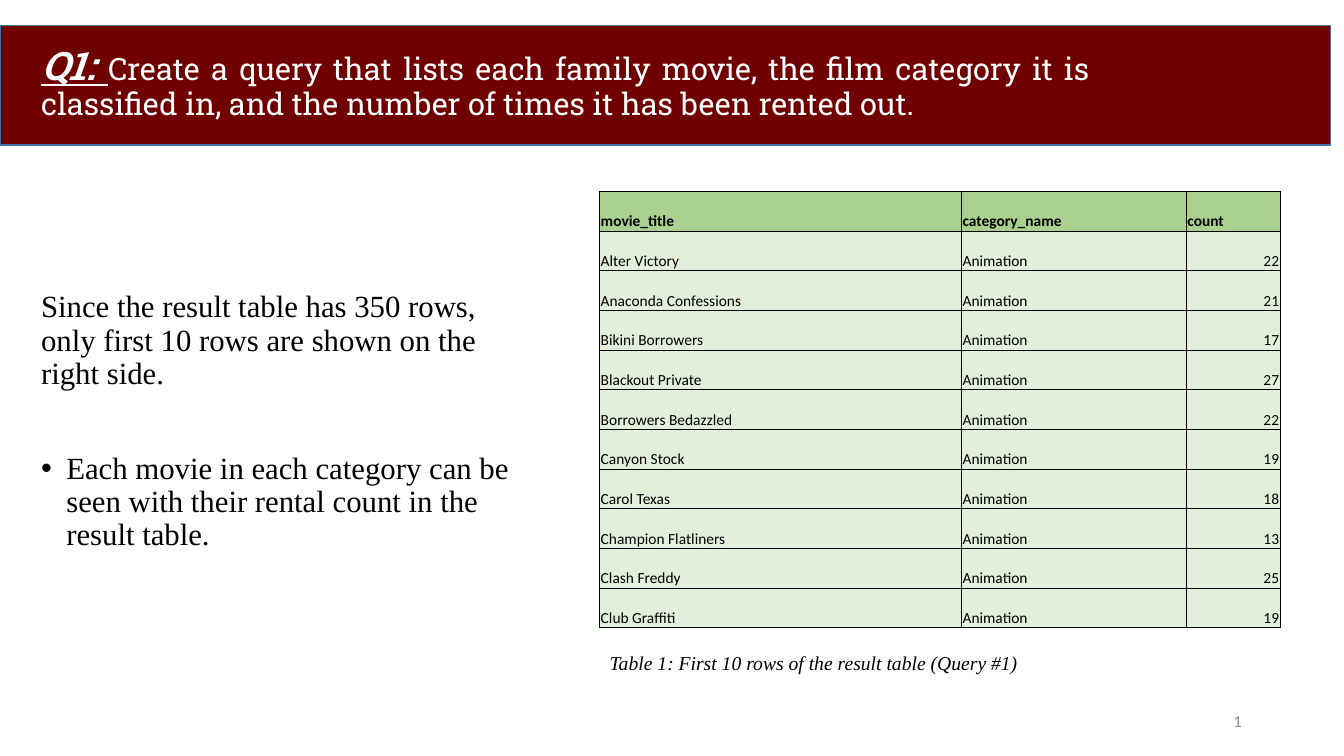
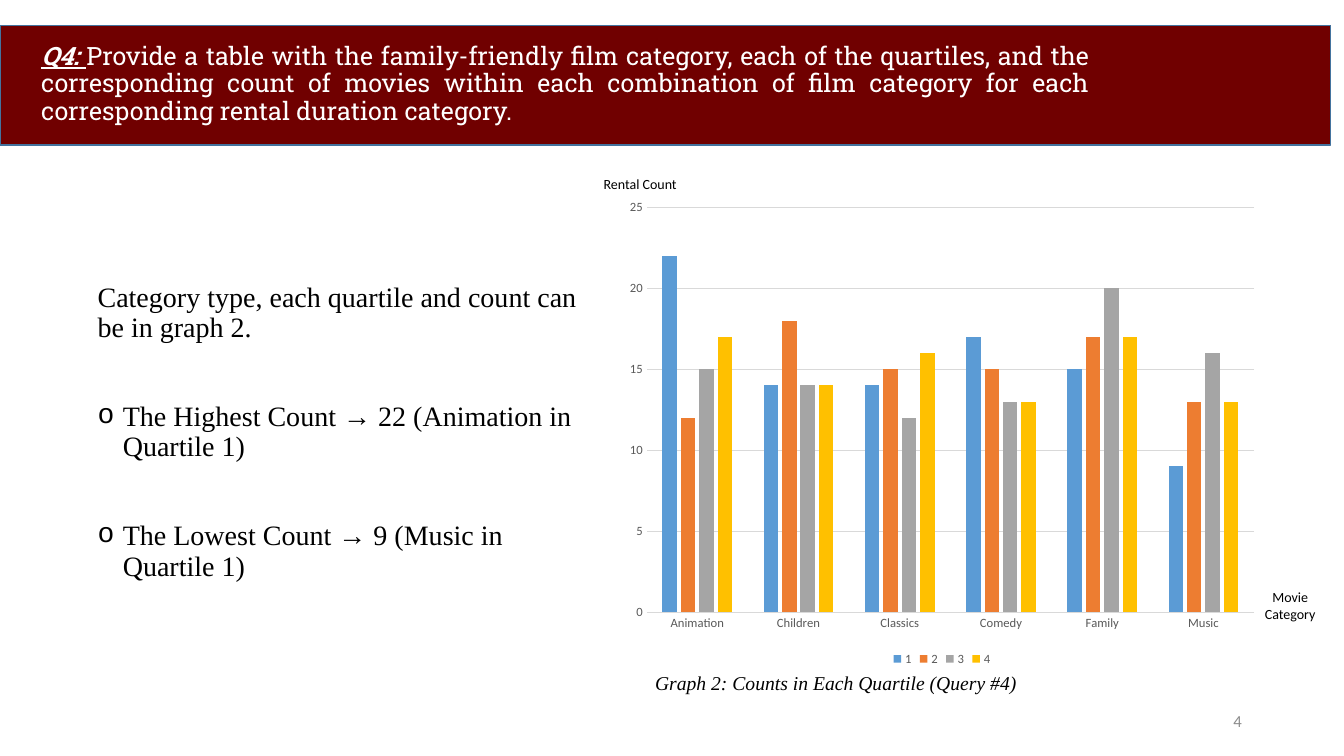
from lxml import etree
from pptx import Presentation
from pptx.chart.data import CategoryChartData
from pptx.dml.color import RGBColor
from pptx.enum.chart import XL_CHART_TYPE, XL_LEGEND_POSITION, XL_TICK_MARK
from pptx.enum.shapes import MSO_SHAPE
from pptx.enum.text import MSO_ANCHOR, PP_ALIGN
from pptx.oxml.ns import qn
from pptx.util import Inches, Pt

CLUSTERED = XL_CHART_TYPE.COLUMN_CLUSTERED
LEGEND_BOTTOM = XL_LEGEND_POSITION.BOTTOM
NO_TICK = XL_TICK_MARK.NONE
RECTANGLE = MSO_SHAPE.RECTANGLE
TOP, MIDDLE, BOTTOM = MSO_ANCHOR.TOP, MSO_ANCHOR.MIDDLE, MSO_ANCHOR.BOTTOM
LEFT, CENTER, RIGHT, JUSTIFY = (PP_ALIGN.LEFT, PP_ALIGN.CENTER,
                                PP_ALIGN.RIGHT, PP_ALIGN.JUSTIFY)

COLORS = {
    "band": "700000", "band_line": "43739E", "white": "FFFFFF",
    "black": "000000", "number": "8C8C8C", "header": "A9D08E",
    "row": "E2EFDA", "axis_text": "595959", "grid": "D9D9D9",
}
SERIES_COLORS = ["5B9BD5", "ED7D31", "A5A5A5", "FFC000"]
TITLE_FONT, BODY_FONT, LABEL_FONT = "Roboto Slab", "Times New Roman", "Calibri"

# Places are (column, row, columns, rows) on a grid of 160 by 90 cells.
SLIDE_WIDTH, SLIDE_HEIGHT = Inches(13.33), Inches(7.5)
GRID_COLUMNS, GRID_ROWS = 160, 90
BAND = (0, 3, 158.4, 14.28)
TITLE = (3.72, 4.32, 127.2, 11.52)
NUMBER = (113.04, 83.4, 36, 4.8)

QUERY_1 = {
    "number": "1",
    "title": [("Q1: ", 28),
              ("Create a query that lists each family movie, the film category "
               "it is classified in, and the number of times it has been "
               "rented out.", 22)],
    "body_place": (3.72, 34.08, 61.32, 33),
    "body_size": 22,
    "bullet": ("•", "Arial"),
    "body": ["Since the result table has 350 rows, only first 10 rows are "
             "shown on the right side.",
             "Each movie in each category can be seen with their rental count "
             "in the result table."],
    "caption_place": (71.4, 76.92, 68.52, 4.08),
    "caption": "Table 1: First 10 rows of the result table (Query #1)",
}
QUERY_4 = {
    "number": "4",
    "title": [("Q4: ", 18),
              ("Provide a table with the family-friendly film category, each "
               "of the quartiles, and the corresponding count of movies within "
               "each combination of film category for each corresponding "
               "rental duration category.", 18)],
    "body_place": (10.44, 33.12, 61.32, 50.28),
    "body_size": 20,
    "bullet": ("o", "Courier New"),
    "body": ["Category type, each quartile and count can be in graph 2.",
             "The Highest Count → 22 (Animation in Quartile 1)",
             "The Lowest Count → 9 (Music in Quartile 1)"],
    "caption_place": (76.8, 79.32, 52.68, 4.08),
    "caption": "Graph 2: Counts in Each Quartile (Query #4)",
}

TABLE_PLACE = (71.4, 22.8, 81, 51.96)
TABLE_COLUMNS = [43.08, 26.76, 11.16]
TABLE_HEADER = ("movie_title", "category_name", "count")
RENTAL_CATEGORY = "Animation"
RENTALS = [
    ("Alter Victory", 22), ("Anaconda Confessions", 21),
    ("Bikini Borrowers", 17), ("Blackout Private", 27),
    ("Borrowers Bedazzled", 22), ("Canyon Stock", 19), ("Carol Texas", 18),
    ("Champion Flatliners", 13), ("Clash Freddy", 25), ("Club Graffiti", 19),
]

CHART_PLACE = (73.44, 22.68, 77.4, 57.12)
CATEGORIES = ["Animation", "Children", "Classics", "Comedy", "Family", "Music"]
QUARTILES = {
    "1": (22, 14, 14, 17, 15, 9),
    "2": (12, 18, 15, 15, 17, 13),
    "3": (15, 14, 12, 13, 20, 16),
    "4": (17, 14, 16, 13, 17, 13),
}
AXIS_LABELS = [
    ("Rental Count", (70.68, 20.28, 12.12, 3.24), LEFT),
    ("Movie Category", (149.04, 69.48, 9.12, 5.28), CENTER),
]


def across(columns):
    """Return the width of a number of grid columns."""
    return round(SLIDE_WIDTH * columns / GRID_COLUMNS)


def down(rows):
    """Return the height of a number of grid rows."""
    return round(SLIDE_HEIGHT * rows / GRID_ROWS)


def on_grid(place):
    """Turn a grid place into left, top, width and height."""
    column, row, columns, rows = place
    return across(column), down(row), across(columns), down(rows)


def color(name):
    """Look up a named colour."""
    return RGBColor.from_string(COLORS[name])


def style_font(font, name, size, color_name, bold=False, italic=False):
    """Set the face, size and colour of a font."""
    font.name, font.size = name, Pt(size)
    font.bold, font.italic = bold, italic
    font.color.rgb = color(color_name)


def add_run(paragraph, text, *style, **flags):
    """Append a styled run and return it."""
    run = paragraph.add_run()
    run.text = text
    style_font(run.font, *style, **flags)
    return run


def add_text_frame(slide, place, anchor=TOP):
    """Add a wrapping text box and return its text frame."""
    frame = slide.shapes.add_textbox(*on_grid(place)).text_frame
    frame.word_wrap = True
    frame.vertical_anchor = anchor
    return frame


def add_label(slide, place, text, *style, align=LEFT, anchor=TOP, **flags):
    """Add a text box that holds one run."""
    paragraph = add_text_frame(slide, place, anchor).paragraphs[0]
    paragraph.alignment = align
    add_run(paragraph, text, *style, **flags)


def add_title(slide, parts):
    """Add the dark band with the query name and its question."""
    band = slide.shapes.add_shape(RECTANGLE, *on_grid(BAND))
    band.shadow.inherit = False
    band.fill.solid()
    band.fill.fore_color.rgb = color("band")
    band.line.color.rgb = color("band_line")
    band.line.width = Pt(1)

    paragraph = add_text_frame(slide, TITLE, MIDDLE).paragraphs[0]
    paragraph.alignment = JUSTIFY
    paragraph.line_spacing = 0.9
    (name, name_size), (question, question_size) = parts
    query_name = add_run(paragraph, name, TITLE_FONT, name_size, "white",
                         bold=True, italic=True)
    query_name.font.underline = True
    add_run(paragraph, question, TITLE_FONT, question_size, "white")


def set_bullet(paragraph, character, font_name):
    """Give a paragraph a hanging bullet."""
    properties = paragraph._p.get_or_add_pPr()
    properties.set("marL", str(Inches(0.25)))
    properties.set("indent", str(-Inches(0.25)))
    etree.SubElement(properties, qn("a:buFont")).set("typeface", font_name)
    etree.SubElement(properties, qn("a:buChar")).set("char", character)


def add_body(slide, place, texts, size, bullet):
    """Add a lead paragraph followed by widely spaced bullets."""
    frame = add_text_frame(slide, place)
    for index, text in enumerate(texts):
        paragraph = frame.add_paragraph() if index else frame.paragraphs[0]
        paragraph.line_spacing = 0.9
        paragraph.space_before = Pt(round(20 + 1.08 * size) if index else 10)
        if index:
            set_bullet(paragraph, *bullet)
        add_run(paragraph, text, BODY_FONT, size, "black")


def add_query_slide(presentation, query):
    """Add a slide with the band, body, caption and number all queries share."""
    slide = presentation.slides.add_slide(presentation.slide_layouts[6])
    add_title(slide, query["title"])
    add_body(slide, query["body_place"], query["body"], query["body_size"],
             query["bullet"])
    add_label(slide, NUMBER, query["number"], LABEL_FONT, 12, "number",
              align=RIGHT, anchor=MIDDLE)
    add_label(slide, query["caption_place"], query["caption"], BODY_FONT, 14,
              "black", italic=True)
    return slide


def set_borders(cell):
    """Draw a thin black line on each side of a cell."""
    properties = cell._tc.get_or_add_tcPr()
    for side in ("a:lnL", "a:lnR", "a:lnT", "a:lnB"):
        line = etree.SubElement(properties, qn(side), w=str(Pt(0.5)))
        fill = etree.SubElement(line, qn("a:solidFill"))
        etree.SubElement(fill, qn("a:srgbClr"), val=COLORS["black"])


def fill_cell(cell, value, is_header):
    """Write a value into a cell and style it."""
    set_borders(cell)
    cell.fill.solid()
    cell.fill.fore_color.rgb = color("header" if is_header else "row")
    cell.margin_left = cell.margin_right = cell.margin_top = Inches(0.01)
    cell.margin_bottom = 0
    cell.vertical_anchor = BOTTOM
    paragraph = cell.text_frame.paragraphs[0]
    paragraph.alignment = RIGHT if isinstance(value, int) else LEFT
    add_run(paragraph, str(value), LABEL_FONT, 11, "black", bold=is_header)


def add_rental_table(slide):
    """Add the table of movies and their rental counts."""
    rows = [TABLE_HEADER] + [(movie, RENTAL_CATEGORY, count)
                             for movie, count in RENTALS]
    table = slide.shapes.add_table(len(rows), len(TABLE_HEADER),
                                   *on_grid(TABLE_PLACE)).table
    for column, columns in zip(table.columns, TABLE_COLUMNS):
        column.width = across(columns)
    for row_index, values in enumerate(rows):
        table.rows[row_index].height = down(TABLE_PLACE[3] / len(rows))
        for column_index, value in enumerate(values):
            fill_cell(table.cell(row_index, column_index), value,
                      row_index == 0)


def add_quartile_chart(slide):
    """Add the clustered columns of counts per category and quartile."""
    data = CategoryChartData()
    data.categories = CATEGORIES
    for name, values in QUARTILES.items():
        data.add_series(name, values)
    chart = slide.shapes.add_chart(CLUSTERED, *on_grid(CHART_PLACE), data).chart
    style_font(chart.font, LABEL_FONT, 10, "black")
    chart.has_title = False
    chart.has_legend = True
    chart.legend.position = LEGEND_BOTTOM
    chart.legend.include_in_layout = False

    plot = chart.plots[0]
    plot.vary_by_categories = False
    plot.gap_width, plot.overlap = 219, -27
    for series, series_color in zip(plot.series, SERIES_COLORS):
        series.format.fill.solid()
        series.format.fill.fore_color.rgb = RGBColor.from_string(series_color)

    category_axis, value_axis = chart.category_axis, chart.value_axis
    for axis in (category_axis, value_axis):
        axis.major_tick_mark = axis.minor_tick_mark = NO_TICK
    for part in (category_axis.tick_labels, value_axis.tick_labels,
                 chart.legend):
        style_font(part.font, LABEL_FONT, 9, "axis_text")
    value_axis.minimum_scale, value_axis.maximum_scale = 0, 25
    value_axis.major_unit = 5
    value_axis.format.line.fill.background()
    for line in (category_axis.format.line,
                 value_axis.major_gridlines.format.line):
        line.color.rgb = color("grid")
        line.width = Pt(0.75)

    for text, place, align in AXIS_LABELS:
        add_label(slide, place, text, LABEL_FONT, 10, "black", align=align)


def main():
    """Build and save the presentation."""
    presentation = Presentation()
    presentation.slide_width = SLIDE_WIDTH
    presentation.slide_height = SLIDE_HEIGHT
    add_rental_table(add_query_slide(presentation, QUERY_1))
    add_quartile_chart(add_query_slide(presentation, QUERY_4))
    presentation.save("out.pptx")


main()
